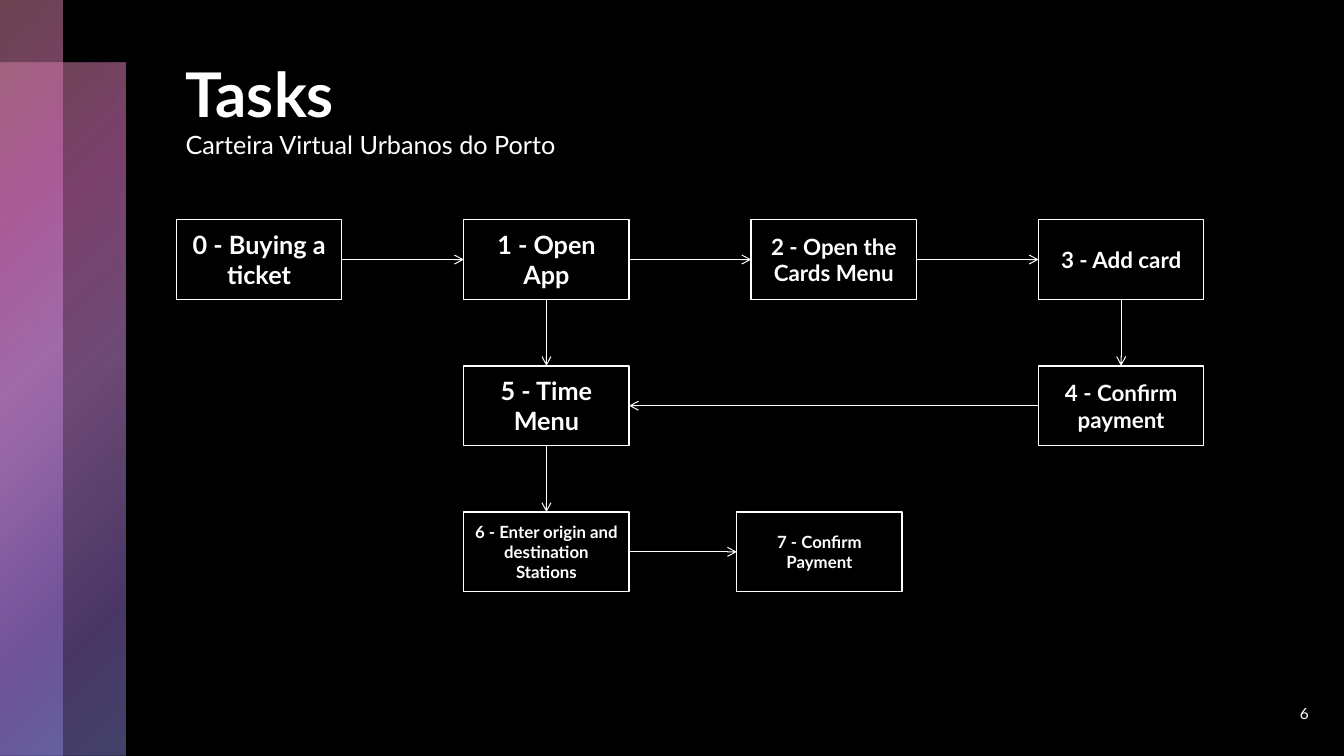
from dataclasses import dataclass
from enum import IntEnum
from typing import Any

from pptx import Presentation
from pptx import util as u
from pptx.dml.color import RGBColor
from pptx.enum import shapes, text
from pptx.oxml import parse_xml
from pptx.oxml.ns import nsdecls, qn

BLACK = RGBColor(0x00, 0x00, 0x00)
WHITE = RGBColor(0xFF, 0xFF, 0xFF)
ROSE = RGBColor(0xD5, 0x87, 0xA1)
MAGENTA = RGBColor(0xCC, 0x6C, 0xB5)
ORCHID = RGBColor(0xC8, 0x87, 0xD5)
VIOLET = RGBColor(0x94, 0x6C, 0xCC)
PERIWINKLE = RGBColor(0x87, 0x87, 0xD5)

FONT = "Lato"
WIDTH, HEIGHT = 13.33, 7.5
GRID_LEFT, GRID_TOP = 1.75, 2.18
COLUMN_PITCH, ROW_PITCH = 2.85, 1.45
STEP_WIDTH, STEP_HEIGHT = 1.64, 0.79


class Side(IntEnum):
    TOP = 0
    LEFT = 1
    BOTTOM = 2
    RIGHT = 3


@dataclass(frozen=True)
class Step:
    label: str
    column: float
    row: int
    size: int


@dataclass(frozen=True)
class Flow:
    source: int
    leave: Side
    target: int
    enter: Side


@dataclass(frozen=True)
class Band:
    top: float
    width: float
    middle_stop: int


STEPS = [
    Step("0 - Buying a ticket", 0, 0, 18),
    Step("1 - Open App", 1, 0, 18),
    Step("2 - Open the Cards Menu", 2, 0, 16),
    Step("3 - Add card", 3, 0, 16),
    Step("4 - Confirm payment", 3, 1, 16),
    Step("5 - Time Menu", 1, 1, 18),
    Step("6 - Enter origin and destination Stations", 1, 2, 12),
    Step("7 - Confirm Payment", 1.95, 2, 12),
]

FLOWS = [
    Flow(0, Side.RIGHT, 1, Side.LEFT),
    Flow(1, Side.RIGHT, 2, Side.LEFT),
    Flow(2, Side.RIGHT, 3, Side.LEFT),
    Flow(3, Side.BOTTOM, 4, Side.TOP),
    Flow(4, Side.LEFT, 5, Side.RIGHT),
    Flow(1, Side.BOTTOM, 5, Side.TOP),
    Flow(5, Side.BOTTOM, 6, Side.TOP),
    Flow(6, Side.RIGHT, 7, Side.LEFT),
]

BANDS = [Band(0.62, 1.24, 50), Band(0, 0.62, 49)]


def apply(target: Any, values: dict[str, Any]) -> None:
    for attribute, value in values.items():
        setattr(target, attribute, value)


def style_font(font: Any, size: int, bold: bool) -> None:
    apply(font, {"name": FONT, "size": u.Pt(size), "bold": bold})
    font.color.rgb = WHITE


def add_rectangle(slide: Any, left: float, top: float, width: float, height: float) -> Any:
    rectangle = slide.shapes.add_shape(
        shapes.MSO_SHAPE.RECTANGLE,
        u.Inches(left), u.Inches(top), u.Inches(width), u.Inches(height),
    )
    rectangle.shadow.inherit = False
    rectangle.fill.background()
    return rectangle


def draw_band(slide: Any, band: Band) -> None:
    strip = add_rectangle(slide, 0, band.top, band.width, HEIGHT - band.top)
    strip.line.fill.background()
    stops = [
        (0, ROSE, 50), (25, MAGENTA, 60), (band.middle_stop, ORCHID, 55),
        (81, VIOLET, 50), (99, PERIWINKLE, 50),
    ]
    stop_xml = "".join(
        f'<a:gs pos="{position * 1000}"><a:srgbClr val="{color}">'
        f'<a:alpha val="{opacity * 1000}"/></a:srgbClr></a:gs>'
        for position, color, opacity in stops
    )
    gradient = parse_xml(
        f'<a:gradFill {nsdecls("a")} rotWithShape="1"><a:gsLst>{stop_xml}</a:gsLst>'
        '<a:path path="circle"><a:fillToRect r="100000" b="100000"/></a:path></a:gradFill>'
    )
    properties = strip.element.spPr
    properties.replace(properties.find(qn("a:noFill")), gradient)


def write_title(slide: Any) -> None:
    title = slide.shapes.title
    apply(title, {
        "left": u.Inches(1.74), "top": u.Inches(0.5),
        "width": u.Inches(10.37), "height": u.Inches(1.7),
    })
    apply(title.text_frame, {
        "word_wrap": True,
        "auto_size": text.MSO_AUTO_SIZE.NONE,
        "vertical_anchor": text.MSO_ANCHOR.TOP,
    })
    heading = title.text_frame.paragraphs[0]
    heading.alignment = text.PP_ALIGN.LEFT
    topic = heading.add_run()
    topic.text = "Tasks"
    style_font(topic.font, 44, True)
    heading.add_line_break()
    project = heading.add_run()
    project.text = "Carteira Virtual Urbanos do Porto"
    style_font(project.font, 18, False)


def write_label(frame: Any, label: str, size: int, bold: bool, alignment: Any) -> None:
    apply(frame, {"word_wrap": True, "vertical_anchor": text.MSO_ANCHOR.MIDDLE})
    paragraph = frame.paragraphs[0]
    apply(paragraph, {"text": label, "alignment": alignment})
    style_font(paragraph.runs[0].font, size, bold)


def draw_step(slide: Any, step: Step) -> Any:
    box = add_rectangle(
        slide,
        GRID_LEFT + step.column * COLUMN_PITCH,
        GRID_TOP + step.row * ROW_PITCH,
        STEP_WIDTH,
        STEP_HEIGHT,
    )
    box.line.color.rgb = WHITE
    box.line.width = u.Pt(1)
    write_label(box.text_frame, step.label, step.size, True, text.PP_ALIGN.CENTER)
    return box


def draw_flow(slide: Any, flow: Flow, boxes: list[Any]) -> None:
    arrow = slide.shapes.add_connector(shapes.MSO_CONNECTOR.STRAIGHT, 0, 0, 0, 0)
    arrow.begin_connect(boxes[flow.source], flow.leave)
    arrow.end_connect(boxes[flow.target], flow.enter)
    arrow.line.color.rgb = WHITE
    arrow.line.width = u.Pt(0.75)
    properties = arrow.element.spPr
    properties.find(qn("a:ln")).append(
        parse_xml(f'<a:tailEnd {nsdecls("a")} type="arrow"/>')
    )
    properties.append(parse_xml(f'<a:effectLst {nsdecls("a")}/>'))


def main() -> None:
    deck = Presentation()
    apply(deck, {"slide_width": u.Inches(WIDTH), "slide_height": u.Inches(HEIGHT)})
    slide = deck.slides.add_slide(deck.slide_layouts.get_by_name("Title Only"))
    slide.background.fill.solid()
    slide.background.fill.fore_color.rgb = BLACK
    for band in BANDS:
        draw_band(slide, band)
    write_title(slide)
    page = slide.shapes.add_textbox(
        u.Inches(12.19), u.Inches(6.88), u.Inches(0.89), u.Inches(0.4)
    )
    write_label(page.text_frame, "6", 11, False, text.PP_ALIGN.RIGHT)
    boxes = [draw_step(slide, step) for step in STEPS]
    for flow in FLOWS:
        draw_flow(slide, flow, boxes)
    deck.save("out.pptx")


if __name__ == "__main__":
    main()
